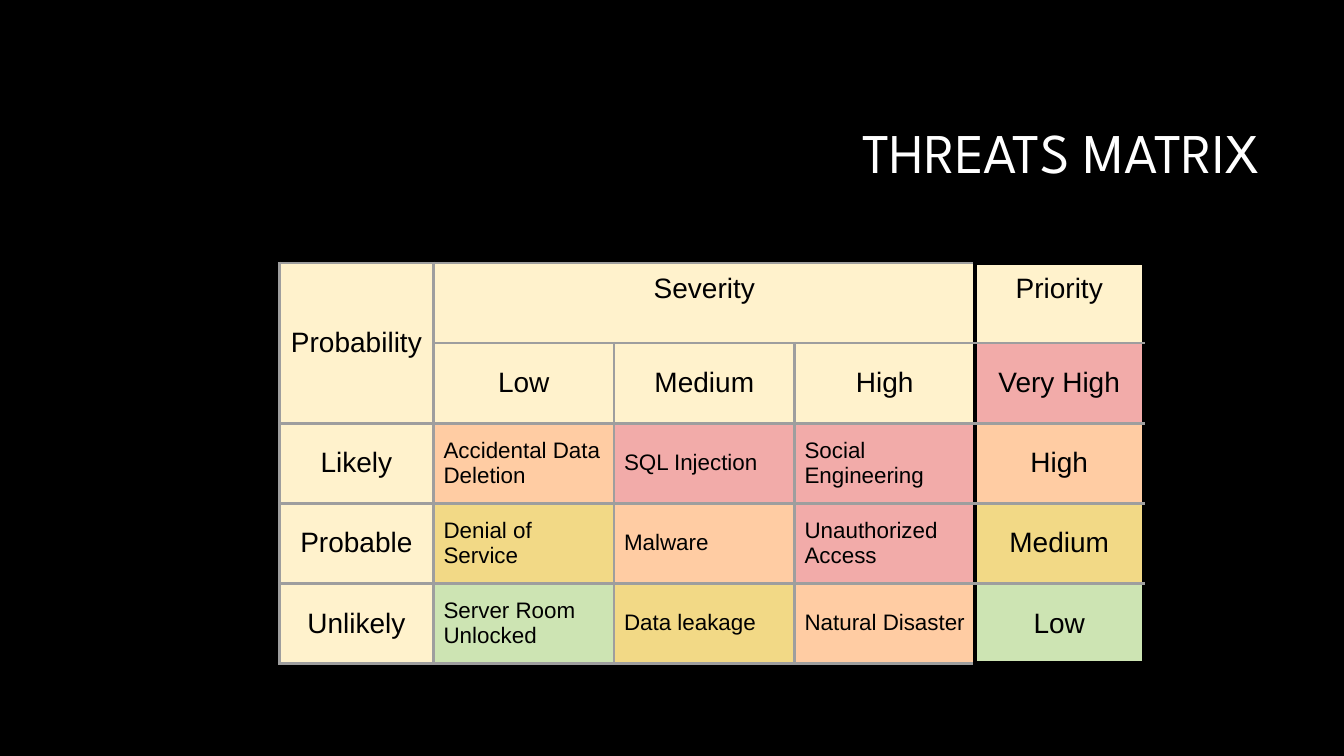
import pptx
import pptx.dml.color
import pptx.enum.text
import pptx.oxml
import pptx.oxml.ns
import pptx.util

RGBColor = pptx.dml.color.RGBColor
Align = pptx.enum.text.PP_ALIGN
Anchor = pptx.enum.text.MSO_ANCHOR

BLACK = RGBColor(0x00, 0x00, 0x00)
WHITE = RGBColor(0xFF, 0xFF, 0xFF)
GREY = RGBColor(0x9E, 0x9E, 0x9E)
CREAM = RGBColor(0xFF, 0xF2, 0xCC)
RED = RGBColor(0xF2, 0xAB, 0xA9)
ORANGE = RGBColor(0xFF, 0xCC, 0xA3)
YELLOW = RGBColor(0xF2, 0xD9, 0x86)
GREEN = RGBColor(0xCD, 0xE4, 0xB3)

COLUMN_SHARES = (0.1148, 0.1343, 0.1343, 0.1343, 0.1253)
ROW_SHARE = 0.1059
MATRIX = (
    (("Probability", CREAM), ("Severity", CREAM), ("", CREAM), ("", CREAM), ("Priority", CREAM)),
    (("", CREAM), ("Low", CREAM), ("Medium", CREAM), ("High", CREAM), ("Very High", RED)),
    (("Likely", CREAM), ("Accidental Data Deletion", ORANGE), ("SQL Injection", RED),
     ("Social Engineering", RED), ("High", ORANGE)),
    (("Probable", CREAM), ("Denial of Service", YELLOW), ("Malware", ORANGE),
     ("Unauthorized Access", RED), ("Medium", YELLOW)),
    (("Unlikely", CREAM), ("Server Room Unlocked", GREEN), ("Data leakage", YELLOW),
     ("Natural Disaster", ORANGE), ("Low", GREEN)),
)


class MatrixPage:
    """Holds the style and the current slide, and adds its elements."""

    def __init__(self, deck):
        self.width, self.height = deck.slide_width, deck.slide_height
        self.page = deck.slides.add_slide(deck.slide_layouts[5])
        background = self.page.background.fill
        background.solid()
        background.fore_color.rgb = BLACK

    def across(self, share):
        return round(self.width * share)

    def down(self, share):
        return round(self.height * share)

    def add_span(self, para, text, font, size, color, align):
        para.alignment = align
        span = para.add_run()
        span.text = text
        span.font.name = font
        span.font.size = pptx.util.Pt(size)
        span.font.color.rgb = color

    def title(self, text, left, top, width, height):
        box = self.page.shapes.title
        box.left, box.top = self.across(left), self.down(top)
        box.width, box.height = self.across(width), self.down(height)
        frame = box.text_frame
        frame.word_wrap = True
        frame.auto_size = pptx.enum.text.MSO_AUTO_SIZE.NONE
        frame.vertical_anchor = Anchor.MIDDLE
        frame.paragraphs[0].line_spacing = 0.9
        self.add_span(frame.paragraphs[0], text, "League Spartan", 40, WHITE, Align.RIGHT)

    def border(self, cell, side, color):
        width = pptx.util.Pt(3 if color == BLACK else 2.25)
        cell._tc.get_or_add_tcPr().append(pptx.oxml.parse_xml(
            f'<a:ln{side} {pptx.oxml.ns.nsdecls("a")} w="{width}">'
            f'<a:solidFill><a:srgbClr val="{color}"/></a:solidFill></a:ln{side}>'))

    def cell(self, table, row, column, text, fill):
        cell = table.cell(row, column)
        last_row, last_column = len(table.rows) - 1, len(table.columns) - 1
        end = column + cell.span_width - 1 if cell.is_merge_origin else column
        priority = column == last_column
        black_sides = {
            "L": priority,
            "R": end >= last_column - 1,
            "T": priority and row == 0,
            "B": priority and row == last_row,
        }
        for side, is_black in black_sides.items():
            self.border(cell, side, BLACK if is_black else GREY)
        cell.fill.solid()
        cell.fill.fore_color.rgb = fill
        cell.margin_left = cell.margin_right = pptx.util.Inches(0.1)
        cell.margin_top = cell.margin_bottom = pptx.util.Inches(0.1)
        top_heading = row == 0 and column > 0
        cell.vertical_anchor = Anchor.TOP if top_heading else Anchor.MIDDLE
        threat = row >= 2 and 0 < column < last_column
        if text:
            self.add_span(cell.text_frame.paragraphs[0], text, "Arial", 16 if threat else 20,
                          BLACK, Align.LEFT if threat else Align.CENTER)

    def matrix(self, rows, left, top):
        table = self.page.shapes.add_table(
            len(rows), len(COLUMN_SHARES), self.across(left), self.down(top),
            self.across(sum(COLUMN_SHARES)), self.down(ROW_SHARE * len(rows))).table
        table.first_row = table.horz_banding = False
        for column, share in zip(table.columns, COLUMN_SHARES):
            column.width = self.across(share)
        for row in table.rows:
            row.height = self.down(ROW_SHARE)
        table.cell(0, 0).merge(table.cell(1, 0))
        table.cell(0, 1).merge(table.cell(0, 3))
        for row, entries in enumerate(rows):
            for column, (text, fill) in enumerate(entries):
                self.cell(table, row, column, text, fill)


def main():
    deck = pptx.Presentation()
    deck.slide_width = pptx.util.Inches(13.33)
    deck.slide_height = pptx.util.Inches(7.5)
    threats = MatrixPage(deck)
    threats.title("THREATS MATRIX", 0.2378, 0.112, 0.7067, 0.188)
    threats.matrix(MATRIX, 0.2078, 0.348)
    deck.save("out.pptx")


if __name__ == "__main__":
    main()
